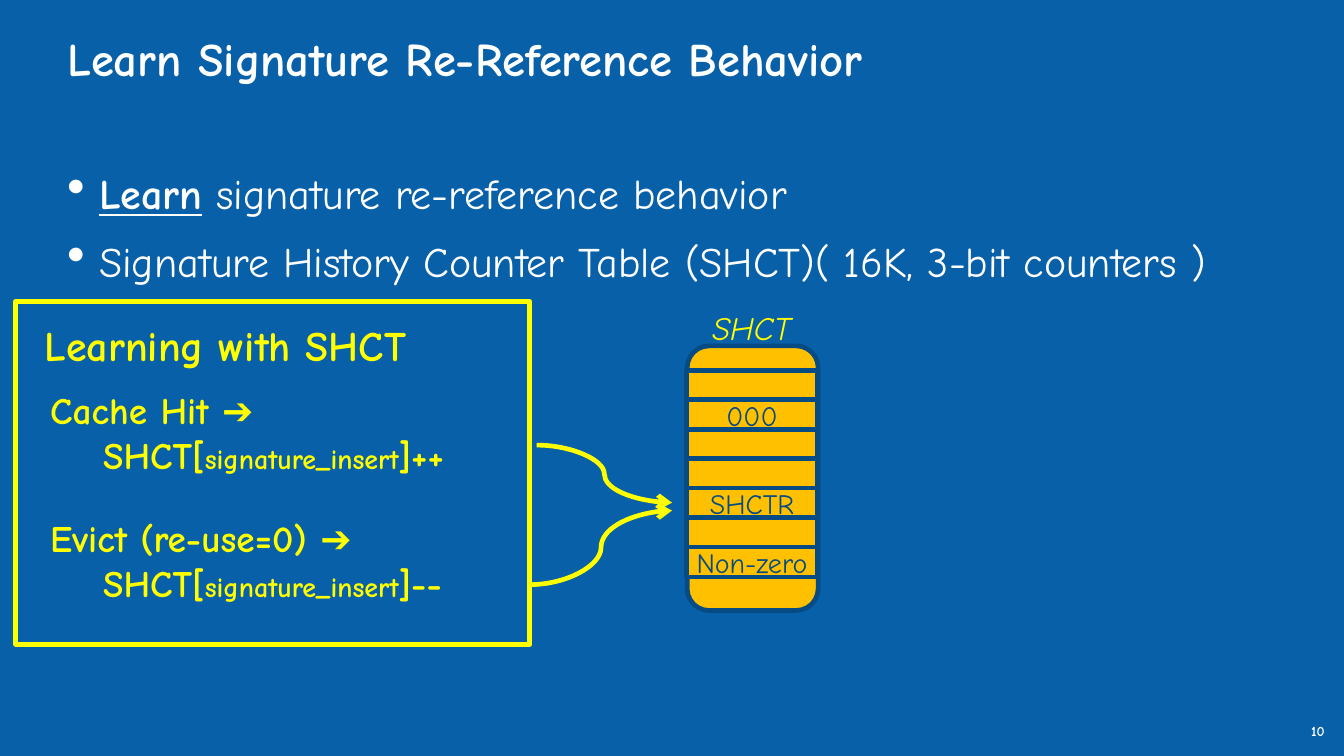
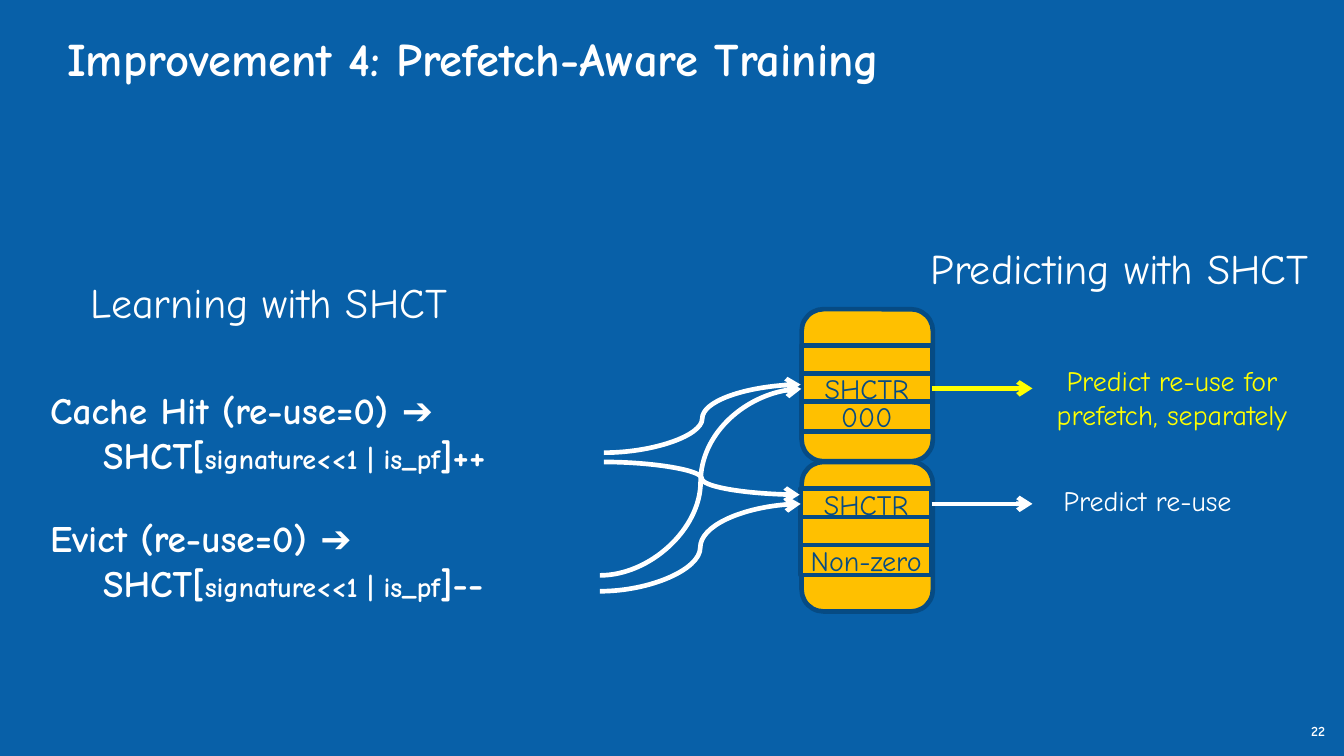
from pptx import Presentation
from pptx import util as u
from pptx.dml.color import RGBColor
from pptx.enum import shapes, text
from pptx.oxml.ns import qn
from lxml import etree

BLUE, NAVY, GOLD = "0860A8", "064B84", "FFC000"
YELLOW, WHITE = "FFFF00", "FFFFFF"
FONT, SYMBOL_FONT = "Comic Neue", "DejaVu Sans"
LEFT, CENTER = text.PP_ALIGN.LEFT, text.PP_ALIGN.CENTER
NO_INSET, NARROW, WIDE = (0, 0), (0.25, 0.13), (0.36, 0.18)
ROW_HEIGHT = 0.91


def rgb(value):
    return RGBColor.from_string(value)


def cm(*values):
    return [u.Cm(v) for v in values]


class Deck:
    """Holds the shared style and the current slide."""

    def __init__(self):
        self.prs = Presentation()
        self.prs.slide_width, self.prs.slide_height = cm(40.64, 22.86)
        fill = self.prs.slide_master.background.fill
        fill.solid()
        fill.fore_color.rgb = rgb(BLUE)

    def slide(self, title, number):
        self.s = self.prs.slides.add_slide(self.prs.slide_layouts[5])
        sp = self.s.shapes.title
        sp.left, sp.top, sp.width, sp.height = cm(2.03, 0.91, 36.6, 2.97)
        tf = self.frame(sp, NO_INSET)
        self.run(self.paragraph(tf), title, 40, bold=True)
        self.label((39.65, 21.84, 0.99, 1.02), number, 12, bold=True,
                   align=LEFT, inset=NO_INSET)

    # Text
    def frame(self, sp, inset, wrap=True, anchor=text.MSO_ANCHOR.TOP):
        tf = sp.text_frame
        tf.word_wrap, tf.vertical_anchor = wrap, anchor
        tf.auto_size = text.MSO_AUTO_SIZE.NONE
        tf.margin_left = tf.margin_right = u.Cm(inset[0])
        tf.margin_top = tf.margin_bottom = u.Cm(inset[1])
        return tf

    def paragraph(self, tf, first=True, align=LEFT, margin=0, hang=0):
        p = tf.paragraphs[0] if first else tf.add_paragraph()
        p.alignment = align
        if margin:
            pPr = p._p.get_or_add_pPr()
            pPr.set("marL", str(u.Cm(margin)))
            pPr.set("indent", str(-u.Cm(hang)))
        return p

    def run(self, p, words, size, color=WHITE, bold=False, font=FONT,
            italic=False, underline=False):
        r = p.add_run()
        r.text = words
        f = r.font
        f.name, f.size, f.bold = font, u.Pt(size), bold
        f.italic, f.underline = italic, underline
        f.color.rgb = rgb(color)

    def label(self, box, words, size, color=WHITE, align=CENTER, inset=WIDE,
              **style):
        tf = self.frame(self.s.shapes.add_textbox(*cm(*box)), inset)
        self.run(self.paragraph(tf, align=align), words, size, color, **style)

    def bullets(self, box, items):
        tf = self.frame(self.s.shapes.add_textbox(*cm(*box)), NO_INSET)
        for i, runs in enumerate(items):
            p = self.paragraph(tf, i == 0, margin=0.97, hang=0.97)
            p.space_after = u.Pt(15)
            pPr = p._p.get_or_add_pPr()
            etree.SubElement(pPr, qn("a:buSzPct")).set("val", "125000")
            etree.SubElement(pPr, qn("a:buChar")).set("char", "•")
            for words, strong in runs:
                self.run(p, words, 36, bold=strong, underline=strong)

    def update_rules(self, width, color, index, rules):
        """One event and the counter update that it causes, per rule."""
        for i, (event, operator) in enumerate(rules):
            box = cm(1.27, 11.58 + 3.86 * i, width, 3)
            tf = self.frame(self.s.shapes.add_textbox(*box), NARROW)
            p = self.paragraph(tf)
            self.run(p, event + " ", 32, color, bold=True)
            self.run(p, "➔", 32, color, font=SYMBOL_FONT)
            p = self.paragraph(tf, first=False, margin=1.6)
            for words, size in (("SHCT[", 32), (index, 24),
                                ("]" + operator, 32)):
                self.run(p, words, size, color, bold=True)

    # Shapes
    def shape(self, kind, box, fill=GOLD, line=NAVY, weight=4):
        sp = self.s.shapes.add_shape(kind, *cm(*box))
        sp.shadow.inherit = False
        if fill:
            sp.fill.solid()
            sp.fill.fore_color.rgb = rgb(fill)
        else:
            sp.fill.background()
        sp.line.color.rgb = rgb(line)
        sp.line.width = u.Pt(weight)
        return sp

    def counters(self, left, top, pitch, names):
        """A stack of table rows; returns the row shapes."""
        rows = []
        for i, name in enumerate(names):
            box = (left, top + pitch * i, 3.96, ROW_HEIGHT)
            sp = self.shape(shapes.MSO_SHAPE.RECTANGLE, box)
            if name:
                tf = self.frame(sp, NO_INSET, False, text.MSO_ANCHOR.MIDDLE)
                self.run(self.paragraph(tf, align=CENTER), name, 24, NAVY)
            rows.append(sp)
        return rows

    def arrow(self, start, end, color=WHITE,
              kind=shapes.MSO_CONNECTOR.CURVE):
        c = self.s.shapes.add_connector(kind, *cm(*start, *end))
        c.line.color.rgb = rgb(color)
        c.line.width = u.Pt(4)
        tail = etree.SubElement(c.line._get_or_add_ln(), qn("a:tailEnd"))
        tail.set("type", "arrow")
        etree.SubElement(c._element.spPr, qn("a:effectLst"))
        return c

    def arrow_from(self, row, end_x, color):
        y = (row.top + row.height / 2) / u.Cm(1)
        c = self.arrow((28.21, y), (end_x, y), color,
                       shapes.MSO_CONNECTOR.STRAIGHT)
        c.begin_connect(row, 3)


def learning_slide(d):
    d.slide("Learn Signature Re-Reference Behavior", "10")
    d.bullets((2.03, 5.08, 38.6, 5.13), [
        [("Learn", True), (" signature re-reference behavior", False)],
        [("Signature History Counter Table (SHCT)"
          "( 16K, 3-bit counters )", False)],
    ])
    # Counter table
    d.shape(shapes.MSO_SHAPE.ROUNDED_RECTANGLE, (20.78, 10.46, 3.96, 8))
    d.label((21, 9.14, 3.45, 1.57), "SHCT", 28, YELLOW, italic=True)
    d.counters(20.76, 11.2, 0.89,
               ["", "000", "", "", "SHCTR", "", "Non-zero"])
    # Learning rules in their frame
    d.update_rules(14.6, YELLOW, "signature_insert",
                   [("Cache Hit", "++"), ("Evict (re-use=0)", "--")])
    d.arrow((16.03, 17.68), (20.32, 15.44), YELLOW)
    d.arrow((16.23, 13.46), (20.32, 15.2), YELLOW)
    d.label((0.25, 9.47, 13.13, 1.9), "Learning with SHCT", 36, YELLOW,
            bold=True)
    d.shape(shapes.MSO_SHAPE.RECTANGLE, (0.48, 9.12, 15.54, 10.36),
            None, YELLOW, 4.5)


def prefetch_slide(d):
    d.slide("Improvement 4: Prefetch-Aware Training", "22")
    # Split counter table
    for top, height in ((13.97, 4.52), (9.35, 4.6)):
        d.shape(shapes.MSO_SHAPE.ROUNDED_RECTANGLE,
                (24.24, top, 3.97, height))
    upper = d.counters(24.23, 10.44, 0.85, ["", "SHCTR", "000"])
    lower = d.counters(24.21, 14.78, 0.85, ["SHCTR", "", "Non-zero"])
    # Learning side
    d.label((1.8, 8.18, 12.67, 1.9), "Learning with SHCT", 36)
    d.update_rules(16.41, WHITE, "signature<<1 | is_pf",
                   [("Cache Hit (re-use=0)", "++"),
                    ("Evict (re-use=0)", "--")])
    for start, end in (((18.14, 17.88), (24.21, 15.24)),
                       ((18.26, 13.97), (24.18, 14.96)),
                       ((18.26, 13.69), (24.21, 11.63)),
                       ((18.14, 17.4), (24.23, 11.76))):
        d.arrow(start, end)
    # Predicting side
    d.label((26.97, 7.16, 13.77, 1.9), "Predicting with SHCT", 36)
    d.arrow_from(upper[1], 31.22, YELLOW)
    d.arrow_from(lower[0], 31.22, WHITE)
    d.label((30.23, 10.82, 10.41, 2.41),
            "Predict re-use for prefetch, separately", 24, YELLOW)
    d.label((30.48, 14.45, 8.43, 1.4), "Predict re-use", 24)


def main():
    d = Deck()
    learning_slide(d)
    prefetch_slide(d)
    d.prs.save("out.pptx")


if __name__ == "__main__":
    main()
